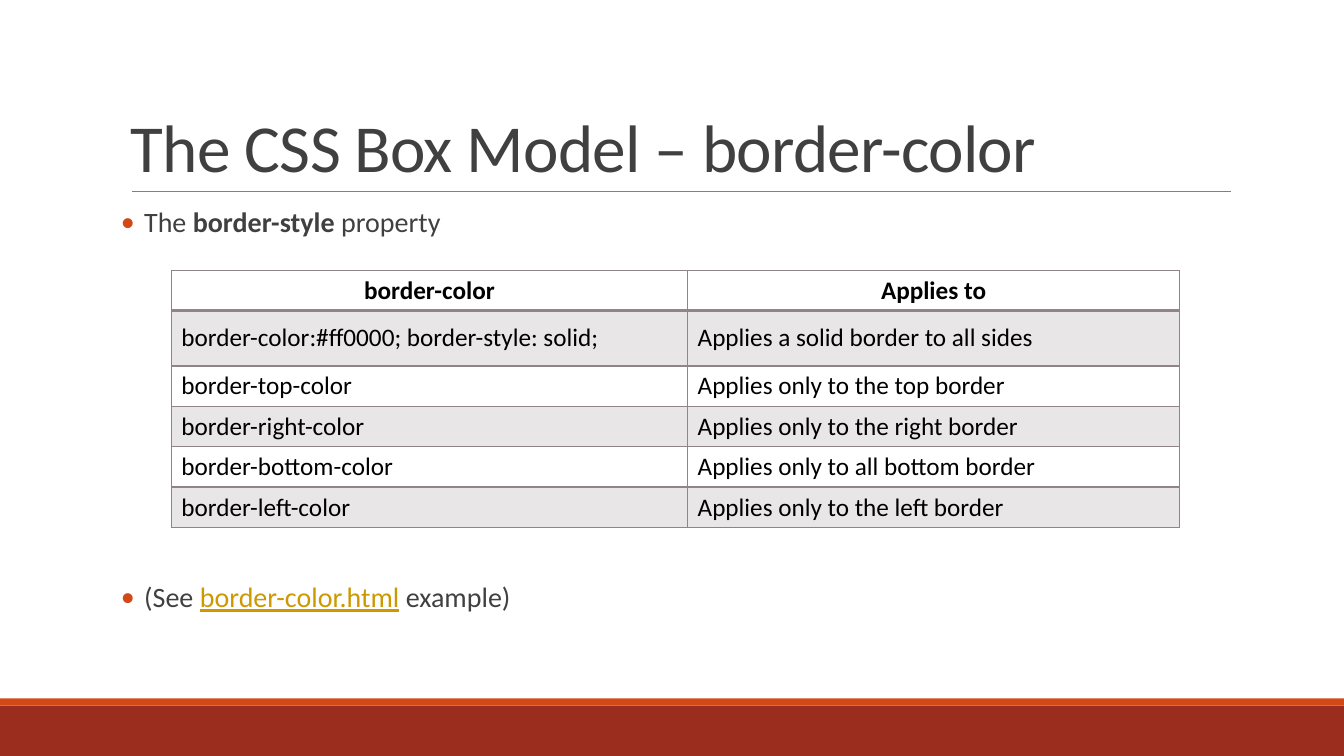
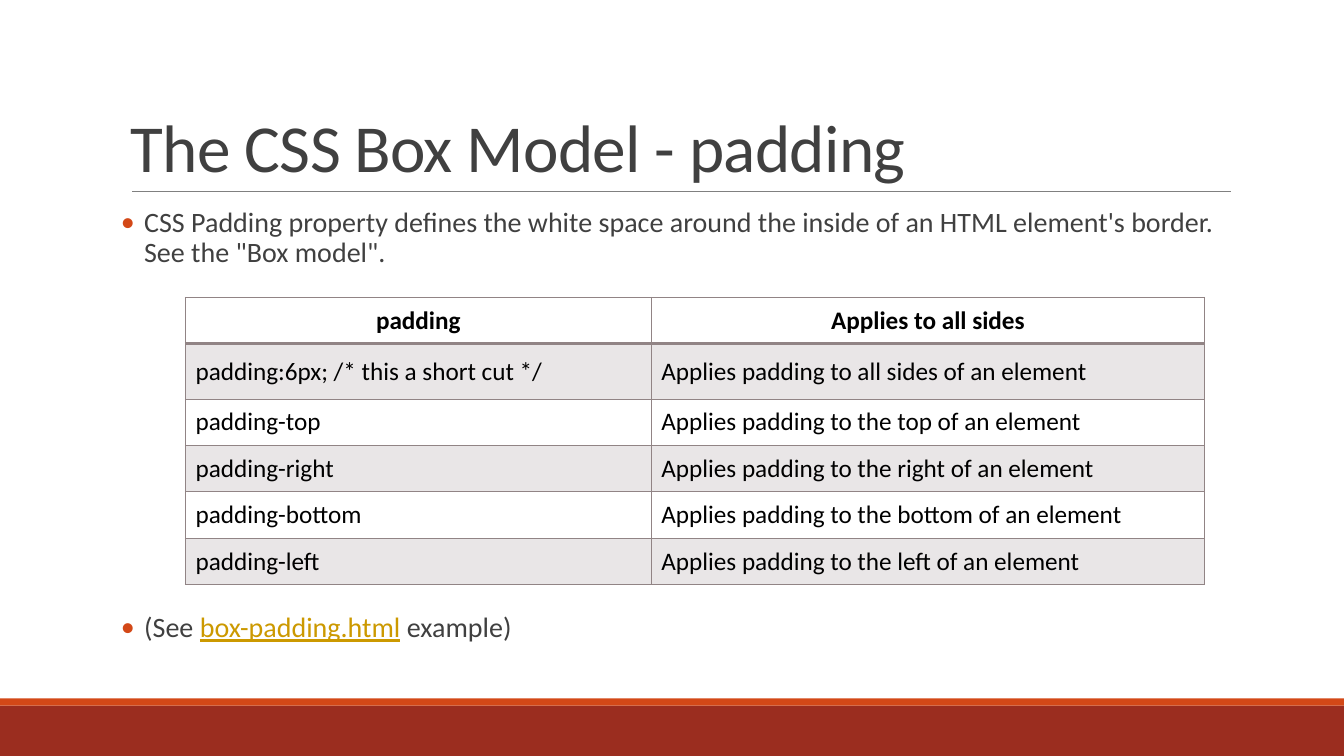
from lxml.etree import SubElement
from pptx import Presentation
from pptx.dml.color import RGBColor
from pptx.enum.shapes import MSO_CONNECTOR as Connector, MSO_SHAPE as Shape
from pptx.enum.text import MSO_ANCHOR as Anchor, PP_ALIGN as Align
from pptx.oxml.ns import qn
from pptx.util import Inches, Pt

BRICK = RGBColor(0x9B, 0x2D, 0x1F)
ORANGE = RGBColor(0xD3, 0x48, 0x17)
RULE_GRAY = RGBColor(0x80, 0x80, 0x80)
TEXT_GRAY = RGBColor(0x40, 0x40, 0x40)
BLACK = RGBColor(0, 0, 0)
LINK_GOLD = RGBColor(0xCC, 0x99, 0x00)
GRID_GRAY = RGBColor(0x91, 0x84, 0x85)
STRIPE = RGBColor(0xE9, 0xE6, 0xE7)

FONT = "Calibri"
WIDTH, HEIGHT = 13.33, 7.5
LEFT, TEXT_WIDTH = 1.2, 11
RULE_TOP = 1.9
BULLET_INDENT = 0.23
TABLE_GAP = 238  # points left free for the table between the two bullets

# Wording and table grid of each slide; a bullet is a list of (text, style) runs
SLIDES = [
    {
        "title": "The CSS Box Model – border-color",
        "intro": [("The ", ""), ("border-style", "bold"), (" property", "")],
        "example": "border-color.html",
        "table_at": (1.7, 2.68),
        "columns": (5.12, 4.88),
        "row_height": 0.4,
        "rows": [
            ("border-color", "Applies to"),
            ("border-color:#ff0000; border-style: solid;", "Applies a solid border to all sides"),
            ("border-top-color", "Applies only to the top border"),
            ("border-right-color", "Applies only to the right border"),
            ("border-bottom-color", "Applies only to all bottom border"),
            ("border-left-color", "Applies only to the left border"),
        ],
    },
    {
        "title": "The CSS Box Model - padding",
        "intro": [("CSS Padding property defines the white space around the inside of "
                   "an HTML element's border. See the \"Box model\".", "")],
        "example": "box-padding.html",
        "table_at": (1.84, 2.95),
        "columns": (4.62, 5.49),
        "row_height": 0.46,
        "rows": [
            ("padding", "Applies to all sides"),
            ("padding:6px; /* this a short cut */", "Applies padding to all sides of an element"),
            ("padding-top", "Applies padding to the top of an element"),
            ("padding-right", "Applies padding to the right of an element"),
            ("padding-bottom", "Applies padding to the bottom of an element"),
            ("padding-left", "Applies padding to the left of an element"),
        ],
    },
]
FIRST_ROW_HEIGHT = 0.55


def style_font(font, size, color, bold=False):
    font.name, font.size, font.bold = FONT, Pt(size), bold
    font.color.rgb = color


def add_cell_border(cell, side, points):
    line = SubElement(cell._tc.get_or_add_tcPr(), qn(f"a:ln{side}"), w=str(Pt(points)))
    fill = SubElement(line, qn("a:solidFill"))
    SubElement(fill, qn("a:srgbClr"), val=str(GRID_GRAY))


deck = Presentation()
deck.slide_width, deck.slide_height = Inches(WIDTH), Inches(HEIGHT)

for content in SLIDES:
    page = deck.slides.add_slide(deck.slide_layouts[6])

    # Footer bands
    for top, height, color in ((7, 0.5, BRICK), (6.93, 0.07, ORANGE)):
        band = page.shapes.add_shape(
            Shape.RECTANGLE, 0, Inches(top), Inches(WIDTH), Inches(height))
        band.shadow.inherit = False
        band.fill.solid()
        band.fill.fore_color.rgb = color
        band.line.fill.background()

    # Rule under the title
    rule = page.shapes.add_connector(
        Connector.STRAIGHT, Inches(1.31), Inches(RULE_TOP), Inches(12.21), Inches(RULE_TOP))
    rule.line.color.rgb = RULE_GRAY
    rule.line.width = Pt(0.5)
    SubElement(rule._element.spPr, qn("a:effectLst"))

    # Title
    title = page.shapes.add_textbox(
        Inches(LEFT), Inches(0.31), Inches(TEXT_WIDTH), Inches(1.59)).text_frame
    title.word_wrap = True
    title.vertical_anchor = Anchor.BOTTOM
    title.text = content["title"]
    para = title.paragraphs[0]
    para.line_spacing = 0.85
    span = para.runs[0]
    style_font(span.font, 48, TEXT_GRAY)
    span.font._element.set("spc", "-50")

    # Bullets above and below the table
    body = page.shapes.add_textbox(
        Inches(LEFT), Inches(2.02), Inches(TEXT_WIDTH), Inches(4.4)).text_frame
    body.word_wrap = True
    body.margin_left = body.margin_right = 0
    see_example = [("(See ", ""), (content["example"], "link"), (" example)", "")]
    bullets = (
        (body.paragraphs[0], content["intro"], 4),
        (body.add_paragraph(), see_example, TABLE_GAP),
    )
    for para, spans, space_before in bullets:
        para.line_spacing = 0.9
        para.space_before, para.space_after = Pt(space_before), Pt(8)
        properties = para._p.get_or_add_pPr()
        properties.set("marL", str(Inches(BULLET_INDENT)))
        properties.set("indent", str(-Inches(BULLET_INDENT)))
        bullet_color = SubElement(properties, qn("a:buClr"))
        SubElement(bullet_color, qn("a:srgbClr"), val=str(ORANGE))
        SubElement(properties, qn("a:buFont"), typeface=FONT)
        SubElement(properties, qn("a:buChar"), char="•")
        for text, style in spans:
            span = para.add_run()
            span.text = text
            is_link = style == "link"
            style_font(span.font, 20, LINK_GOLD if is_link else TEXT_GRAY, style == "bold")
            span.font.underline = is_link

    # Table
    rows, columns = content["rows"], content["columns"]
    heights = [content["row_height"]] * len(rows)
    heights[1] = FIRST_ROW_HEIGHT
    left, top = content["table_at"]
    table = page.shapes.add_table(
        len(rows), len(columns), Inches(left), Inches(top),
        Inches(sum(columns)), Inches(sum(heights))).table
    table.first_row = table.horz_banding = False
    for column, width in zip(table.columns, columns):
        column.width = Inches(width)
    for index, texts in enumerate(rows):
        table.rows[index].height = Inches(heights[index])
        is_header = index == 0
        for column, text in enumerate(texts):
            cell = table.cell(index, column)
            cell.text = text
            cell.vertical_anchor = Anchor.MIDDLE
            para = cell.text_frame.paragraphs[0]
            para.alignment = Align.CENTER if is_header else Align.LEFT
            style_font(para.runs[0].font, 18, BLACK, is_header)
            # The line between header and body is twice as thick
            for side in "LRTB":
                is_thick = (index, side) in ((0, "B"), (1, "T"))
                add_cell_border(cell, side, 2 if is_thick else 1)
            if index % 2:
                cell.fill.solid()
                cell.fill.fore_color.rgb = STRIPE
            else:
                cell.fill.background()

deck.save("out.pptx")
